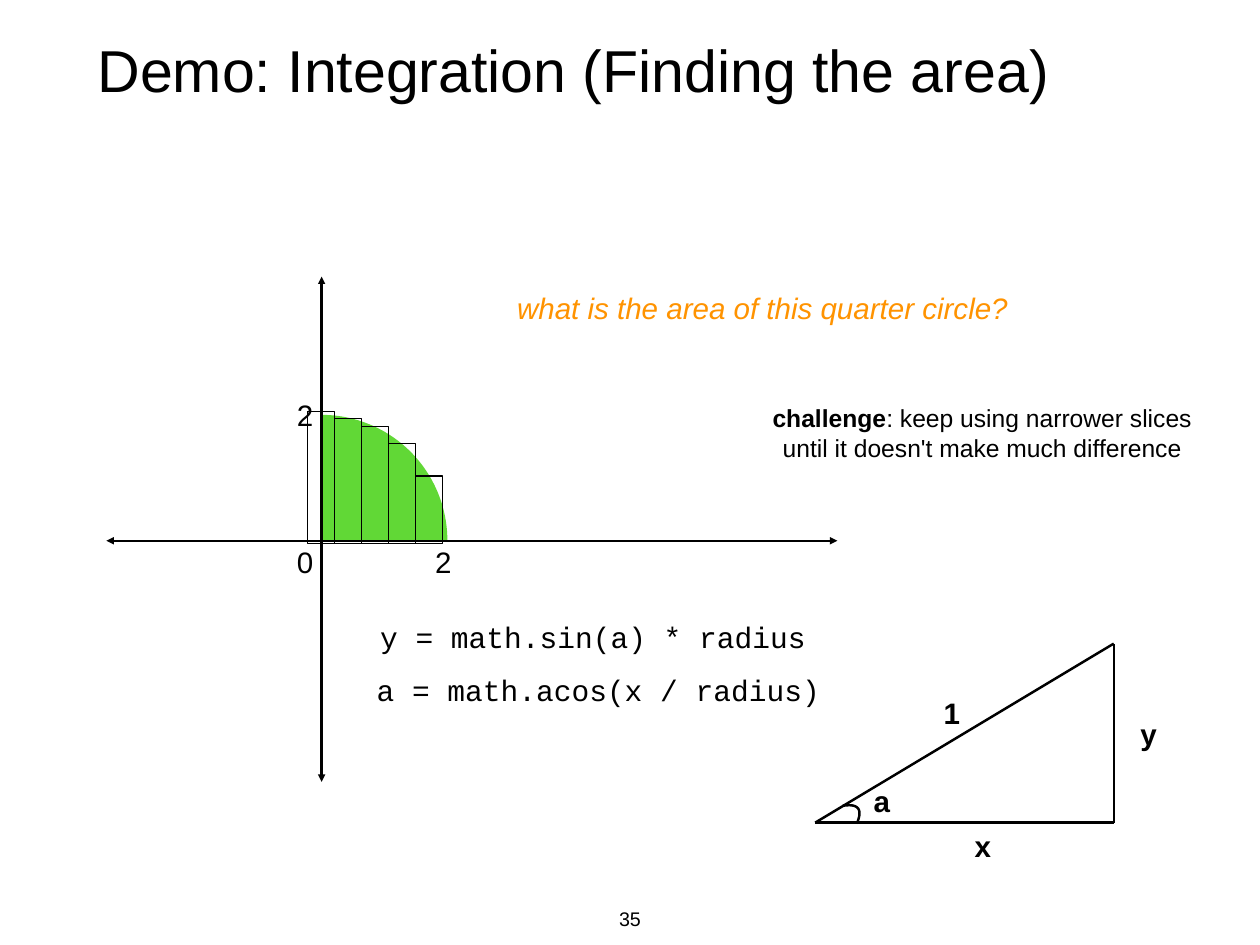
from lxml import etree
from pptx import Presentation
from pptx.dml.color import RGBColor
from pptx.enum.shapes import MSO_CONNECTOR, MSO_SHAPE
from pptx.enum.text import MSO_ANCHOR, MSO_AUTO_SIZE, PP_ALIGN
from pptx.oxml.ns import qn
from pptx.util import Inches, Pt

BLACK = RGBColor(0x00, 0x00, 0x00)
GREEN = RGBColor(0x61, 0xD8, 0x36)
ORANGE = RGBColor(0xFF, 0x93, 0x00)
LEFT, CENTER = PP_ALIGN.LEFT, PP_ALIGN.CENTER
MIDDLE, TOP = MSO_ANCHOR.MIDDLE, MSO_ANCHOR.TOP
FIXED, GROW = MSO_AUTO_SIZE.NONE, MSO_AUTO_SIZE.SHAPE_TO_FIT_TEXT
STRAIGHT = MSO_CONNECTOR.STRAIGHT
PIE, RECT = MSO_SHAPE.PIE, MSO_SHAPE.RECTANGLE

# Content, lengths in inches
WIDTH, HEIGHT = 14.22, 10.66
TITLE = "Demo: Integration (Finding the area)"
QUESTION = "what is the area of this quarter circle?"
CHALLENGE = [("challenge", True),
             (": keep using narrower slices until it doesn't make much difference", False)]
NUMBER = "35"
FORMULAS = [("y = math.sin(a) * radius", 4.23, 6.93, 4.96),
            ("a = math.acos(x / radius)", 4.19, 7.53, 5.16)]
TICKS = [("0", 3.29, 6.08), ("2", 4.85, 6.08), ("2", 3.29, 4.42)]
SIDES = [("y", 12.81, 8.02), ("x", 10.94, 9.28), ("a", 9.8, 8.78), ("1", 10.59, 7.78)]

ORIGIN_X, ORIGIN_Y = 3.63, 6.1
RADIUS = 1.42
AXES = [((ORIGIN_X, 8.82), (ORIGIN_X, 3.12)), ((9.45, ORIGIN_Y), (1.2, ORIGIN_Y))]

SLICE_LEFT, SLICE_BASE, SLICE_STEP = 3.47, 6.13, 0.305
SLICES = [1.49, 1.41, 1.32, 1.13, 0.76]

CORNERS = [(9.2, 9.28), (12.57, 9.28), (12.57, 7.26)]
ANGLE = [(9.51, 9.09), (9.69, 9.06), (9.74, 9.13), (9.67, 9.29)]
ANGLE_STEPS = 16


def add_text(slide, runs, box, size=24, font="Arial", color=BLACK, bold=False,
             italic=False, align=CENTER, anchor=MIDDLE, wrap=False):
    """Add one paragraph; runs is a string or a list of (text, bold) pairs."""
    frame = slide.shapes.add_textbox(*map(Inches, box)).text_frame
    frame.word_wrap = wrap
    frame.auto_size = FIXED if wrap else GROW
    frame.vertical_anchor = anchor
    frame.margin_left = frame.margin_right = Inches(0.06)
    frame.margin_top = frame.margin_bottom = Inches(0.06)
    para = frame.paragraphs[0]
    para.alignment = align
    para.font.size, para.font.name = Pt(size), font
    para.font.bold, para.font.italic = bold, italic
    para.font.color.rgb = color
    for text, heavy in [(runs, bold)] if isinstance(runs, str) else runs:
        run = para.add_run()
        run.text = text
        run.font.bold = heavy


def add_line(slide, start, end, arrows=False):
    line = slide.shapes.add_connector(STRAIGHT, *map(Inches, start + end))
    line.line.color.rgb = BLACK
    line.line.width = Pt(2)
    props = line._element.spPr
    if arrows:
        for tag in ("a:headEnd", "a:tailEnd"):
            etree.SubElement(props.find(qn("a:ln")), qn(tag), type="triangle")
    etree.SubElement(props, qn("a:effectLst"))


def add_circle(slide):
    box = (ORIGIN_X - RADIUS, ORIGIN_Y - RADIUS, 2 * RADIUS, 2 * RADIUS)
    pie = slide.shapes.add_shape(PIE, *map(Inches, box))
    pie.shadow.inherit = False
    pie.adjustments[0] = 162  # 270 degrees, in 60000ths over 100000
    pie.adjustments[1] = 0
    pie.fill.solid()
    pie.fill.fore_color.rgb = GREEN
    pie.line.fill.background()


def outline(shape, width):
    shape.shadow.inherit = False
    shape.fill.background()
    shape.line.color.rgb = BLACK
    shape.line.width = Pt(width)


def add_slices(slide):
    for i, tall in enumerate(SLICES):
        box = (SLICE_LEFT + i * SLICE_STEP, SLICE_BASE - tall, SLICE_STEP, tall)
        outline(slide.shapes.add_shape(RECT, *map(Inches, box)), 1)


def curve_point(t):
    """Return the point at share t of the angle mark's cubic curve."""
    s = 1 - t
    parts = (s ** 3, 3 * s * s * t, 3 * s * t * t, t ** 3)
    return tuple(Inches(sum(p * c for p, c in zip(parts, axis))) for axis in zip(*ANGLE))


def add_angle(slide):
    points = [curve_point(i / ANGLE_STEPS) for i in range(ANGLE_STEPS + 1)]
    path = slide.shapes.build_freeform(*points[0])
    path.add_line_segments(points[1:], close=False)
    outline(path.convert_to_shape(), 2)


def main():
    deck = Presentation()
    deck.slide_width, deck.slide_height = Inches(WIDTH), Inches(HEIGHT)
    slide = deck.slides.add_slide(deck.slide_layouts[6])

    add_circle(slide)
    add_text(slide, TITLE, (1.04, 0.28, 12.14, 0.99), 48, align=LEFT, wrap=True)
    for start, end in AXES:
        add_line(slide, start, end, arrows=True)
    add_text(slide, NUMBER, (6.51, 10.17, 1.2, 0.41), 16, anchor=TOP)
    add_text(slide, QUESTION, (5.73, 3.22, 5.75, 0.51), color=ORANGE, italic=True)
    add_slices(slide)
    add_text(slide, CHALLENGE, (8.59, 4.49, 4.99, 0.78), 20, wrap=True)

    for start, end in zip(CORNERS, CORNERS[1:] + CORNERS[:1]):
        add_line(slide, start, end)
    add_angle(slide)
    for labels, bold in ((TICKS, False), (SIDES, True)):
        for text, x, y in labels:
            add_text(slide, text, (x, y, 0.3, 0.51), bold=bold)
    for text, x, y, wide in FORMULAS:
        add_text(slide, text, (x, y, wide, 0.51), font="Courier New", align=LEFT)

    deck.save("out.pptx")


if __name__ == "__main__":
    main()
